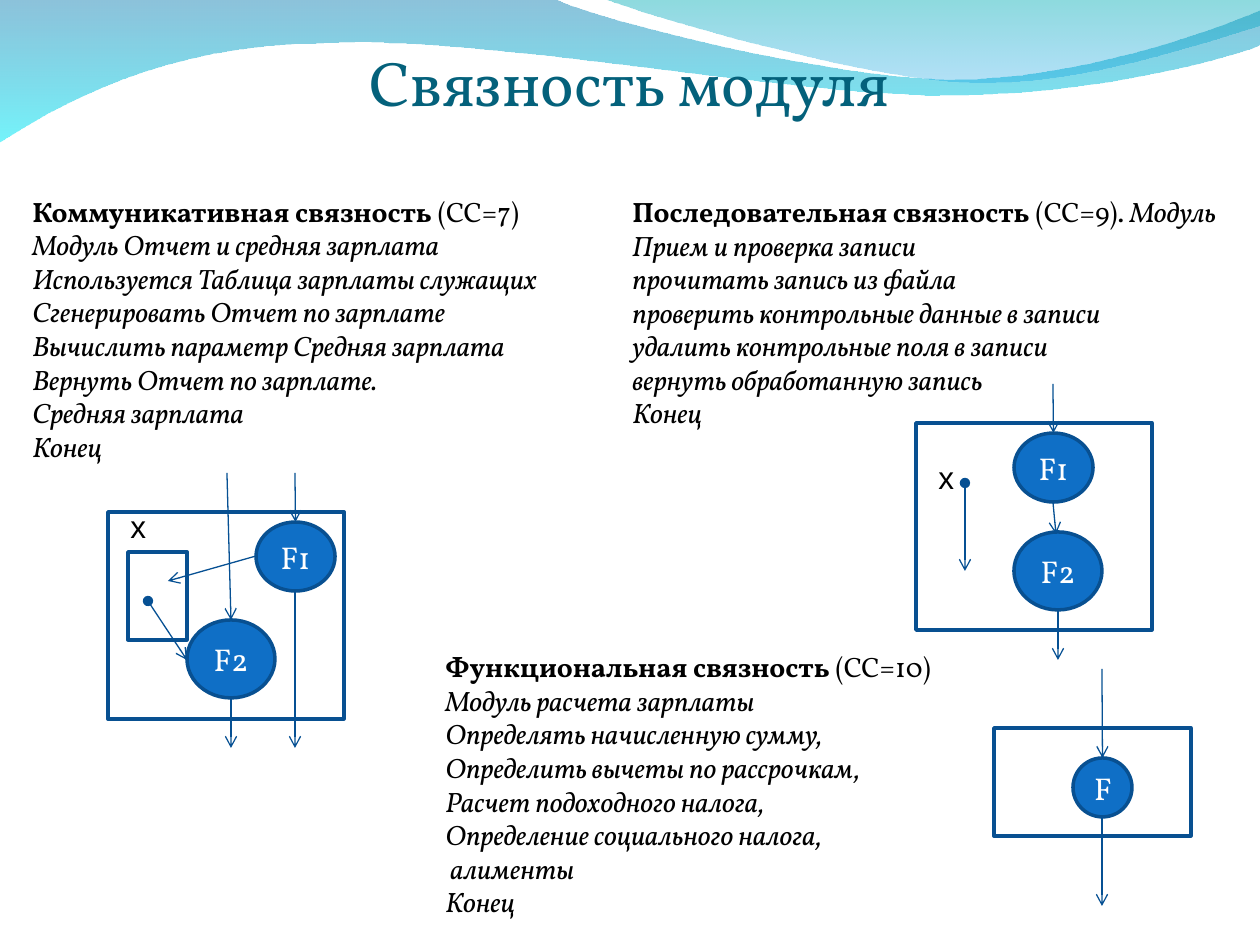
from lxml import etree
from pptx import Presentation
from pptx.dml.color import RGBColor
from pptx.enum.shapes import MSO_CONNECTOR, MSO_SHAPE
from pptx.enum.text import MSO_ANCHOR, PP_ALIGN
from pptx.oxml.ns import qn
from pptx.util import Pt

PX = 914400 // 126
RECT, OVAL = MSO_SHAPE.RECTANGLE, MSO_SHAPE.OVAL
STRAIGHT = MSO_CONNECTOR.STRAIGHT
LEFT, CENTER = PP_ALIGN.LEFT, PP_ALIGN.CENTER
TOP, MIDDLE, BOTTOM = MSO_ANCHOR.TOP, MSO_ANCHOR.MIDDLE, MSO_ANCHOR.BOTTOM

TEAL = RGBColor(0x04, 0x61, 0x7B)
BLUE = RGBColor(0x0F, 0x6F, 0xC6)
EDGE = RGBColor(0x08, 0x50, 0x91)
WIRE = RGBColor(0x06, 0x50, 0x93)
BLACK = RGBColor(0, 0, 0)
WHITE = RGBColor(0xFF, 0xFF, 0xFF)
SERIF, SANS = "Vollkorn", "Arial"

TITLE = "Связность модуля "

# Steps of a wave: one point draws a line, three a Bezier curve.
# Stops of its gradient: colour, opacity in percent.
WAVES = [
    ([[(0, -1)], [(554, -1)], [(600, 21), (837, 79), (955, 79)],
      [(1075, 79), (1207, 33), (1260, 11)], [(1261, 45)],
      [(1239, 55), (1096, 96), (940, 95)], [(784, 95), (481, 35), (324, 43)],
      [(163, 44), (58, 105), (-1, 142)], [(0, -1)]],
     [(RGBColor(0x00, 0x79, 0xAF), 45), (RGBColor(0x00, 0xEB, 0xF8), 55)]),
    ([[(604, -1)], [(641, 14), (859, 78), (969, 82)],
      [(1079, 87), (1211, 40), (1260, 26)], [(1260, 0)], [(604, -1)]],
     [(RGBColor(0x00, 0xAD, 0xB6), 45), (RGBColor(0x00, 0x9B, 0xE5), 30)]),
]

# Place, bold heading, plain mark, italic words on the same line, italic lines
NOTES = [
    ((20, 171, 616, 315), "Коммуникативная связность", " (СС=7)", "",
     ["Модуль Отчет и средняя зарплата",
      "Используется Таблица зарплаты служащих",
      "Сгенерировать Отчет по зарплате",
      "Вычислить параметр Средняя зарплата",
      "Вернуть Отчет по зарплате.", "Средняя зарплата", "Конец"]),
    ((620, 188, 616, 248), "Последовательная связность", " (СС=9). ",
     "Модуль Прием и проверка записи",
     ["прочитать запись из файла", "проверить контрольные данные в записи",
      "удалить контрольные поля в записи", "вернуть обработанную запись",
      "Конец"]),
    ((433, 643, 616, 282), "Функциональная связность", " (СС=10)", "",
     ["Модуль расчета зарплаты", "Определять начисленную сумму,",
      "Определить вычеты по рассрочкам,", "Расчет подоходного налога,",
      "Определение социального налога,", " алименты", "Конец"]),
]

# "into" arrows end at the top of the named oval
SCHEMES = [
    {"boxes": [(994, 728, 197, 108)],
     "ovals": {"F": (1073, 758, 59, 59)},
     "into": [(1102, 669, "F")],
     "arrows": [(1102, 817, 1102, 906)], "dots": [], "x": None},
    {"boxes": [(916, 423, 236, 207)],
     "ovals": {"F1": (1014, 433, 79, 69), "F2": (1014, 532, 88, 78)},
     "into": [(1053, 384, "F1")],
     "arrows": [(1058, 610, 1058, 660), (1053, 502, 1056, 534)],
     "dots": [(965, 483, 965, 571)], "x": (926, 452, 40, 50)},
    {"boxes": [(108, 512, 236, 207), (128, 552, 59, 88)],
     "ovals": {"F1": (256, 522, 79, 69), "F2": (187, 620, 88, 78)},
     "into": [(295, 473, "F1"), (227, 473, "F2")],
     "arrows": [(231, 699, 231, 748), (256, 556, 168, 581),
                (295, 591, 295, 748)],
     "dots": [(148, 601, 187, 660)], "x": (118, 501, 42, 50)},
]


def emu(nums):
    return [n * PX for n in nums]


def bend(shape, steps):
    """Merge the lines of each three-point step into one Bezier curve."""
    lines = iter(list(shape.element.iter(qn("a:lnTo"))))
    for step in steps:
        group = [next(lines) for _ in step]
        if len(group) == 3:
            curve = etree.Element(qn("a:cubicBezTo"))
            group[0].addprevious(curve)
            for line in group:
                curve.append(line[0])
                line.getparent().remove(line)


def add_wave(slide, steps, stops):
    pts = [emu(p) for step in steps for p in step]
    pen = slide.shapes.build_freeform(*pts[0])
    pen.add_line_segments(pts[1:], close=True)
    wave = pen.convert_to_shape()
    bend(wave, steps[1:])
    wave.shadow.inherit = False
    wave.line.fill.background()
    wave.fill.gradient()
    wave.fill.gradient_angle = 270
    for stop, (color, part) in zip(wave.fill.gradient_stops, stops):
        stop.color.rgb = color
    for tint, (color, part) in zip(wave.element.iter(qn("a:srgbClr")), stops):
        etree.SubElement(tint, qn("a:alpha")).set("val", str(part * 1000))


def add_shape(slide, kind, place, fill=None, edge=None):
    shape = slide.shapes.add_shape(kind, *emu(place))
    shape.shadow.inherit = False
    if fill is None:
        shape.fill.background()
    else:
        shape.fill.solid()
        shape.fill.fore_color.rgb = fill
    if edge is None:
        shape.line.fill.background()
    else:
        shape.line.color.rgb = edge
        shape.line.width = Pt(2)
    return shape


def write(shape, rows, size, color, face=SERIF, align=LEFT, anchor=MIDDLE):
    """Fill a shape with rows of (text, bold, italic) runs."""
    frame = shape.text_frame
    frame.word_wrap = True
    frame.vertical_anchor = anchor
    for i, row in enumerate(rows):
        para = frame.add_paragraph() if i else frame.paragraphs[0]
        para.alignment = align
        for text, bold, slant in row:
            run = para.add_run()
            run.text = text
            font = run.font
            font.name, font.size = face, Pt(size)
            font.bold, font.italic = bold, slant
            font.color.rgb = color
    return frame


def add_arrow(slide, ends, goal=None, dot=False):
    wire = slide.shapes.add_connector(STRAIGHT, *emu(ends))
    if goal is not None:
        wire.end_connect(goal, 0)
    wire.line.color.rgb = WIRE
    wire.line.width = Pt(0.75)
    props = wire.element.spPr
    line = props.find(qn("a:ln"))
    if dot:
        etree.SubElement(line, qn("a:headEnd")).set("type", "oval")
    etree.SubElement(line, qn("a:tailEnd")).set("type", "arrow")
    etree.SubElement(props, qn("a:effectLst"))


def add_scheme(slide, plan):
    for place in plan["boxes"]:
        add_shape(slide, RECT, place, edge=EDGE)
    ovals = {}
    for name, place in plan["ovals"].items():
        ovals[name] = add_shape(slide, OVAL, place, BLUE, EDGE)
        write(ovals[name], [[(name, False, False)]], 18, WHITE, align=CENTER)
    for x, y, name in plan["into"]:
        left, top, wide, _ = plan["ovals"][name]
        add_arrow(slide, (x, y, left + wide // 2, top), ovals[name])
    for ends in plan["arrows"]:
        add_arrow(slide, ends)
    for ends in plan["dots"]:
        add_arrow(slide, ends, dot=True)
    if plan["x"]:
        label = slide.shapes.add_textbox(*emu(plan["x"]))
        write(label, [[("x", False, False)]], 18, BLACK, SANS, anchor=TOP)


def main():
    deck = Presentation()
    deck.slide_width, deck.slide_height = emu((1260, 945))
    slide = deck.slides.add_slide(deck.slide_layouts[6])
    for steps, stops in WAVES:
        add_wave(slide, steps, stops)
    title = slide.shapes.add_textbox(*emu((69, 49, 1134, 70)))
    frame = write(title, [[(TITLE, False, False)]], 36, TEAL,
                  align=CENTER, anchor=BOTTOM)
    frame.margin_left = frame.margin_right = frame.margin_bottom = 0
    for place, head, mark, more, lines in NOTES:
        first = [(head, True, False), (mark, False, False)]
        if more:
            first.append((more, False, True))
        rows = [first] + [[(line, False, True)] for line in lines]
        write(add_shape(slide, RECT, place, WHITE), rows, 16, BLACK)
    for plan in SCHEMES:
        add_scheme(slide, plan)
    deck.save("out.pptx")


if __name__ == "__main__":
    main()
